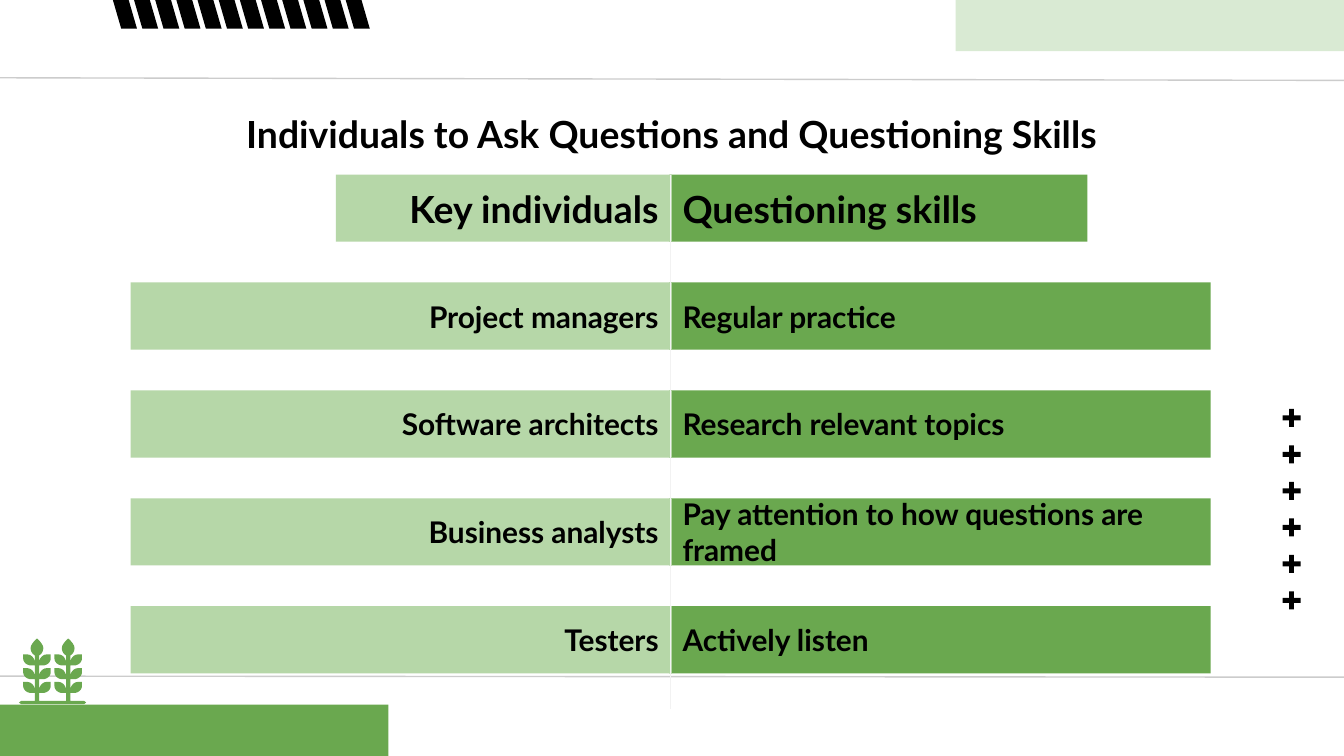
from lxml import etree
from pptx import Presentation
from pptx import util as u
from pptx.dml.color import RGBColor
from pptx.enum import shapes as s, text as t
from pptx.oxml.ns import qn

BLACK = RGBColor(0x00, 0x00, 0x00)
GREEN = RGBColor(0x6A, 0xA8, 0x4F)
LIGHT = RGBColor(0xB6, 0xD7, 0xA8)
PALE = RGBColor(0xD9, 0xEA, 0xD3)
GREY = RGBColor(0xCC, 0xCC, 0xCC)
MIST = RGBColor(0xF2, 0xF2, 0xF2)

ROWS = [
    ("Key individuals", "Questioning skills"),
    ("Project managers", "Regular practice"),
    ("Software architects", "Research relevant topics"),
    ("Business analysts", "Pay attention to how questions are framed"),
    ("Testers", "Actively listen"),
]


def write(shape, words, size=16, align=t.PP_ALIGN.LEFT, color=BLACK, font="Lato"):
    frame = shape.text_frame
    frame.word_wrap = True
    frame.auto_size = t.MSO_AUTO_SIZE.NONE
    frame.vertical_anchor = t.MSO_ANCHOR.MIDDLE
    frame.margin_left = frame.margin_right = u.Cm(0.25)
    frame.margin_top = frame.margin_bottom = u.Cm(0.25)
    para = frame.paragraphs[0]
    para.alignment = align
    run = para.add_run()
    run.text = words
    run.font.name, run.font.size, run.font.bold = font, u.Pt(size), True
    run.font.color.rgb = color


def curve(a, b, c, d, steps=6):
    """Points along a cubic curve from a to d."""
    points = []
    for i in range(steps + 1):
        k = i / steps
        parts = ((1 - k) ** 3, 3 * k * (1 - k) ** 2, 3 * k * k * (1 - k), k ** 3)
        points.append(tuple(sum(w * p[n] for w, p in zip(parts, (a, b, c, d)))
                            for n in (0, 1)))
    return points


def stalk():
    """One side of a wheat stalk, from tip to foot, around its centre line."""
    side = curve((0, 0), (0, 0), (0.12, 0.1), (0.12, 0.18))
    side += curve((0.12, 0.18), (0.12, 0.25), (0.08, 0.3), (0.04, 0.32))
    for i in range(3):
        y = 0.3 + 0.26 * i
        side += curve((0.04, y + 0.16), (0.04, y + 0.07), (0.11, y), (0.19, y))
        side += curve((0.26, y), (0.26, y + 0.08), (0.26, y + 0.08), (0.26, y + 0.08), 1)
        side += curve((0.26, y + 0.08), (0.26, y + 0.15), (0.19, y + 0.21), (0.11, y + 0.21))
        side.append((0.04, y + 0.21))
    return side + [(0.04, 1.18)]


class Deck:
    def __init__(self):
        self.prs = Presentation()
        self.prs.slide_width, self.prs.slide_height = u.Cm(25.4), u.Cm(14.29)
        self.slide = self.prs.slides.add_slide(self.prs.slide_layouts[5])
        self.shapes = self.slide.shapes

    def paint(self, shape, fill):
        shape.shadow.inherit = False
        shape.fill.solid()
        shape.fill.fore_color.rgb = fill
        shape.line.fill.background()
        return shape

    def title(self, words, x, y, w, h):
        box = self.shapes.title
        box.left, box.top, box.width, box.height = map(u.Cm, (x, y, w, h))
        write(box, words, size=20, align=t.PP_ALIGN.CENTER)

    def block(self, x, y, w, h, fill, kind=s.MSO_SHAPE.RECTANGLE, adj=None, flip=False):
        shape = self.shapes.add_shape(kind, *map(u.Cm, (x, y, w, h)))
        if adj is not None:
            shape.adjustments[0] = adj
        if flip:
            shape._element.spPr.find(qn("a:xfrm")).set("flipH", "1")
        return self.paint(shape, fill)

    def line(self, x1, y1, x2, y2, color):
        rule = self.shapes.add_connector(
            s.MSO_CONNECTOR.STRAIGHT, *map(u.Cm, (x1, y1, x2, y2)))
        rule.line.color.rgb = color
        rule.line.width = u.Pt(0.75)
        etree.SubElement(rule._element.spPr, qn("a:effectLst"))

    def outline(self, points, fill):
        dots = [(u.Cm(x), u.Cm(y)) for x, y in points]
        pen = self.shapes.build_freeform(*dots[0])
        pen.add_line_segments(dots[1:], close=True)
        self.paint(pen.convert_to_shape(), fill)

    def wheat(self, one, two, top, fill):
        half = stalk()

        def left(mid):
            return [(mid - x, top + y) for x, y in half]

        def right(mid):
            return [(mid + x, top + y) for x, y in reversed(half)]

        foot, end = top + 1.18, top + 1.24
        base = [(one - 0.3, foot), (one - 0.34, foot + 0.03), (one - 0.3, end),
                (two + 0.3, end), (two + 0.34, foot + 0.03), (two + 0.3, foot)]
        self.outline(left(one) + base + right(two) + left(two) + right(one), fill)


def main():
    deck = Deck()

    # Rules, corner bars and wheat
    deck.line(-0.1, 1.47, 25.5, 1.52, GREY)
    deck.line(-0.1, 12.78, 25.5, 12.8, GREY)
    deck.block(18.06, 0, 12.7, 0.97, PALE)
    deck.block(-5.36, 13.32, 12.7, 0.97, GREEN)
    deck.wheat(0.7, 1.29, 12.07, GREEN)

    # Stripes and plus signs
    for i in range(12):
        deck.block(2.01 + 0.4 * i, -0.43, 0.58, 0.97, BLACK,
                   s.MSO_SHAPE.PARALLELOGRAM, 0.485, flip=True)
    for i in range(6):
        deck.block(24.18, 7.67 + 0.69 * i, 0.46, 0.46, BLACK,
                   s.MSO_SHAPE.MATH_PLUS, 0.197)

    deck.title("Individuals to Ask Questions and Questioning Skills",
               3.68, 1.73, 18.03, 1.6)

    # Two columns that meet at the divider; the header row is narrower
    for i, (who, skill) in enumerate(ROWS):
        y = 3.3 + 2.04 * i
        size, wide, span = (16, 10.23, 10.23) if i else (20, 6.35, 7.9)
        write(deck.block(12.65, y, span, 1.27, GREEN), skill, size=size)
        write(deck.block(12.7 - wide, y, wide, 1.27, LIGHT), who,
              size=size, align=t.PP_ALIGN.RIGHT)
    deck.line(12.67, 3.3, 12.67, 13.41, MIST)

    deck.prs.save("out.pptx")


if __name__ == "__main__":
    main()
